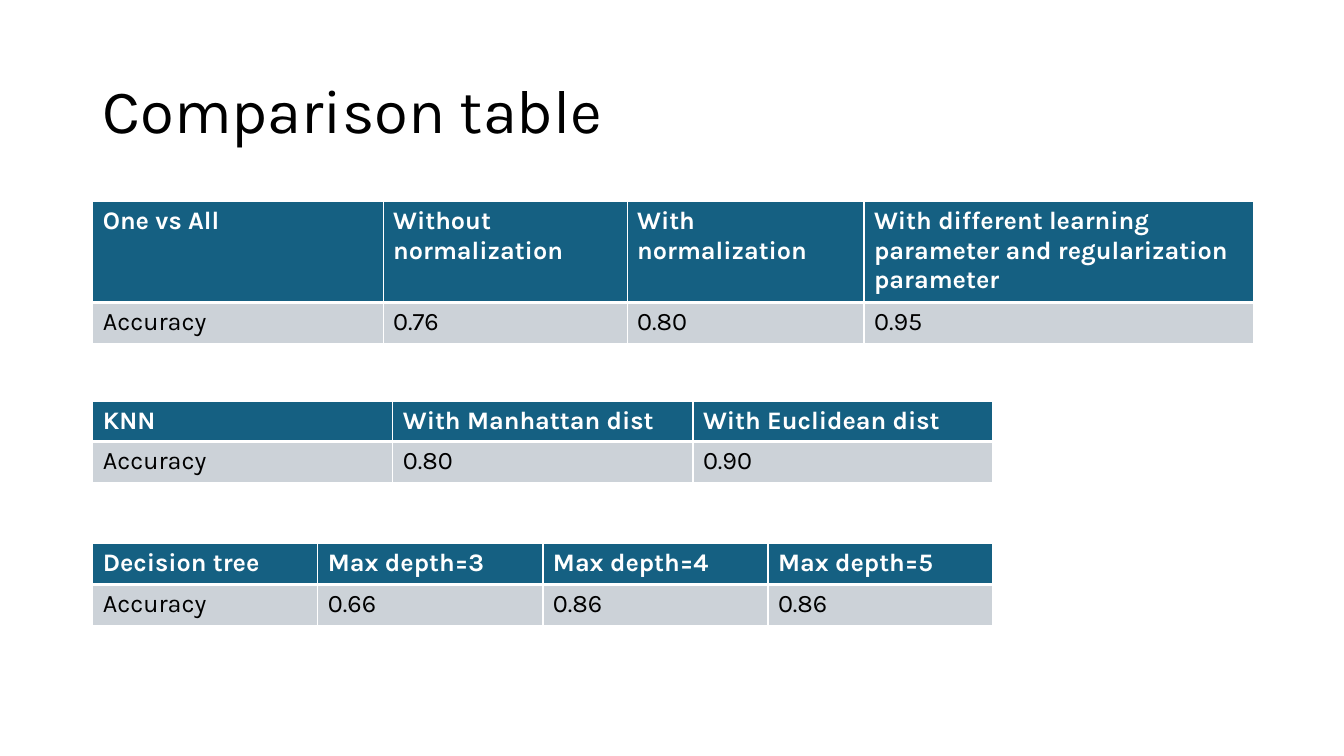
from dataclasses import dataclass

from lxml.etree import SubElement
from pptx import Presentation
from pptx.dml.color import RGBColor
from pptx.enum.text import MSO_ANCHOR
from pptx.oxml.ns import qn
from pptx.util import Inches, Pt

TITLE = "Comparison table"
# Each table: top, column widths, header height, header row, body row
TABLES = [
    (2.0, [2.88, 2.42, 2.35, 3.86], 0.41,
     ["One vs All", "Without normalization", "With normalization",
      "With different learning parameter and regularization parameter"],
     ["Accuracy", "0.76", "0.80", "0.95"]),
    (3.98, [8.93 / 3] * 3, 0.39,
     ["KNN", "With Manhattan dist", "With Euclidean dist"],
     ["Accuracy", "0.80", "0.90"]),
    (5.39, [8.93 / 4] * 4, 0.41,
     ["Decision tree", "Max depth=3", "Max depth=4", "Max depth=5"],
     ["Accuracy", "0.66", "0.86", "0.86"]),
]
SLIDE_WIDTH, SLIDE_HEIGHT = 13.33, 7.5
LEFT, CONTENT_WIDTH = 0.92, 11.5
TITLE_TOP, TITLE_HEIGHT = 0.4, 1.45
BODY_HEIGHT = 0.41


@dataclass(frozen=True)
class Theme:
    font: str = "Karla"
    title_size: int = 44
    cell_size: int = 18
    ink: str = "000000"
    paper: str = "FFFFFF"
    header: str = "156082"
    band: str = "CCD2D8"
    thin: int = 1
    thick: int = 3


THEME = Theme()


def write(para, text, size, color, bold=False):
    span = para.add_run()
    span.text = text
    span.font.color.rgb = RGBColor.from_string(color)
    formats = {"name": THEME.font, "size": Pt(size), "bold": bold}
    for name, value in formats.items():
        setattr(span.font, name, value)


def set_borders(cell, top, bottom):
    """Draw the four cell edges; they must precede the fill in the XML."""
    properties = cell._tc.get_or_add_tcPr()
    edges = {"L": THEME.thin, "R": THEME.thin, "T": top, "B": bottom}
    for index, (side, width) in enumerate(edges.items()):
        line = SubElement(properties, qn(f"a:ln{side}"), w=str(Pt(width)))
        fill = SubElement(line, qn("a:solidFill"))
        SubElement(fill, qn("a:srgbClr"), val=THEME.paper)
        properties.insert(index, line)


def add_title(page):
    box = page.shapes.add_textbox(*map(
        Inches, (LEFT, TITLE_TOP, CONTENT_WIDTH, TITLE_HEIGHT)))
    frame = box.text_frame
    frame.word_wrap = True
    frame.vertical_anchor = MSO_ANCHOR.MIDDLE
    para = frame.paragraphs[0]
    para.line_spacing = 0.9
    write(para, TITLE, THEME.title_size, THEME.ink)


def add_comparison(page, top, widths, header_height, header, body):
    heights = [header_height, BODY_HEIGHT]
    table = page.shapes.add_table(
        len(heights), len(widths), Inches(LEFT), Inches(top),
        Inches(sum(widths)), Inches(sum(heights))).table
    for column, width in zip(table.columns, widths):
        column.width = Inches(width)
    for row, height in zip(table.rows, heights):
        row.height = Inches(height)

    styles = [
        (header, THEME.header, THEME.paper, True, THEME.thin, THEME.thick),
        (body, THEME.band, THEME.ink, False, THEME.thick, THEME.thin),
    ]
    for row, (texts, fill, ink, bold, upper, lower) in zip(table.rows, styles):
        for cell, text in zip(row.cells, texts):
            cell.fill.solid()
            cell.fill.fore_color.rgb = RGBColor.from_string(fill)
            set_borders(cell, upper, lower)
            write(cell.text_frame.paragraphs[0], text, THEME.cell_size, ink, bold)


def main():
    deck = Presentation()
    deck.slide_width = Inches(SLIDE_WIDTH)
    deck.slide_height = Inches(SLIDE_HEIGHT)
    page = deck.slides.add_slide(deck.slide_layouts[6])
    add_title(page)
    for comparison in TABLES:
        add_comparison(page, *comparison)
    deck.save("out.pptx")


if __name__ == "__main__":
    main()
